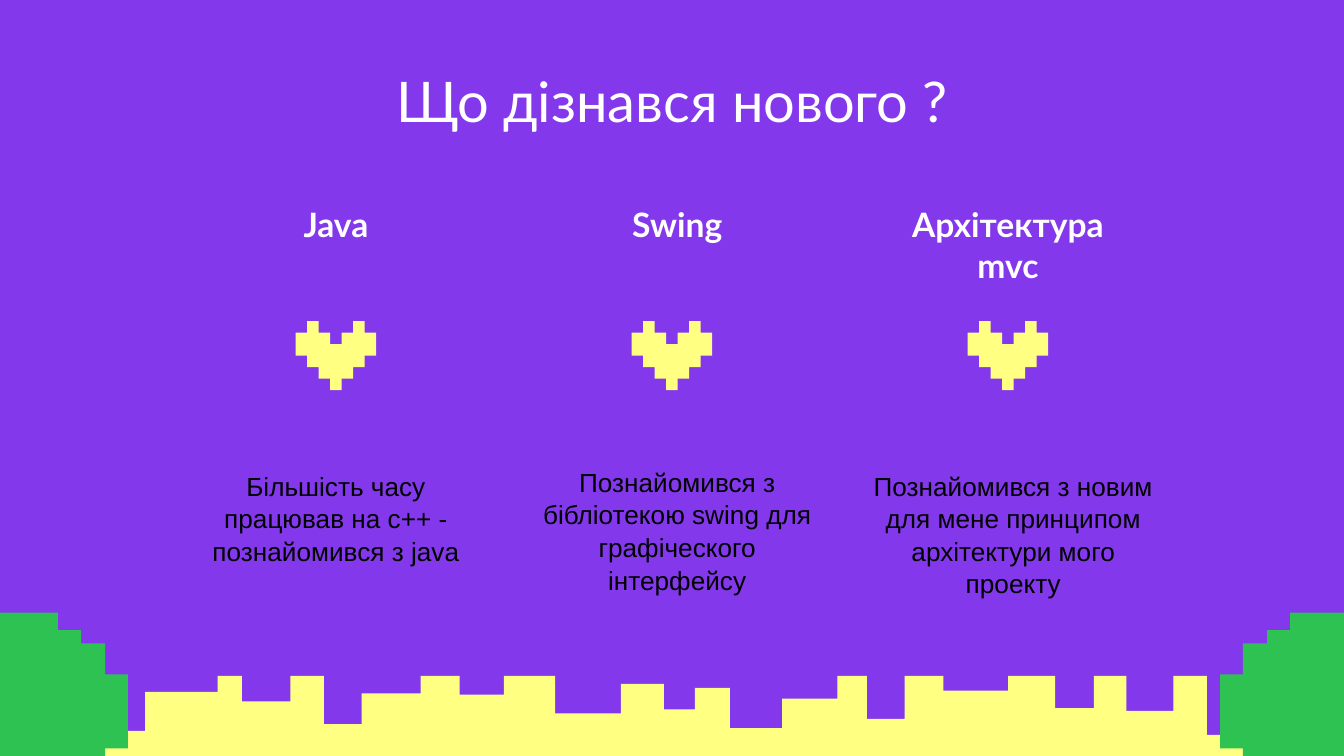
from dataclasses import dataclass

from pptx import Presentation
from pptx import util as u
from pptx.dml.color import RGBColor
from pptx.enum import text

Cm = u.Cm
PURPLE, YELLOW, GREEN, WHITE, BLACK = "8338EC", "FFFF82", "2DC252", "FFFFFF", "000000"
GRID = 0.0254 * 1

TITLE = {"name": "Lato", "size": u.Pt(30), "bold": False}
HEADING = {"name": "Lato", "size": u.Pt(18), "bold": True}
BODY = {"name": "Arial", "size": u.Pt(14), "bold": False}


@dataclass
class Outline:
    start: tuple[int, int]
    steps: list[int]
    unit: float
    color: str


@dataclass
class Topic:
    heading: str
    body: str
    left: float
    body_top: float
    body_width: float
    heart_left: float


GROUND = Outline(
    (45, 503),
    [520, -2, 833, 1007, 503, 1000, 530, 987, 503, 965, 520, 929, 547, 898,
     503, 873, 529, 838, 503, 814, 527, 785, 503, 750, 514, 702, 503, 673,
     535, 645, 503, 623, 520, 582, 542, 543, 512, 517, 528, 494, 509, 462,
     531, 413, 503, 375, 517, 342, 503, 313, 516, 269, 539, 241, 503, 216,
     522, 180, 503, 162, 515, 108, 544, 83, 503],
    2.54 / 100, YELLOW)
BUSH = Outline(
    (52, 0),
    [13, 35, 23, 17, 46, 0, 101, 17, 135, 35, 147, 133, 135, 151, 101, 168,
     46, 151, 23, 133, 13, 116, 0],
    2.54 / 100, GREEN)
HEART = Outline(
    (1, 0),
    [1, 0, 3, 1, 4, 2, 5, 3, 6, 4, 5, 5, 4, 6, 3, 7, 1, 6, 0, 5, 1, 4, 2, 3,
     1, 2, 0],
    1.52 / 7, YELLOW)

TOPICS = [
    Topic("Java", "Більшість часу працював на с++ - познайомився з java",
          3.81, 8.86, 5.08, 5.59),
    Topic("Swing", "Познайомився з бібліотекою swing для графіческого інтерфейсу",
          10.26, 8.79, 5.08, 11.94),
    Topic("Архітектура\nmvc",
          "Познайомився з новим для мене принципом архітектури мого проекту",
          16.51, 8.86, 5.28, 18.29),
]


def rgb(value: str) -> RGBColor:
    return RGBColor.from_string(value)


def draw_outline(slide, outline: Outline, left: float = 0, top: float = 0) -> None:
    x, y = outline.start
    points = []
    for i, value in enumerate(outline.steps):
        x, y = (value, y) if i % 2 else (x, value)
        points.append((x, y))
    builder = slide.shapes.build_freeform(*outline.start, scale=Cm(outline.unit))
    builder.add_line_segments(points, close=True)
    sp = builder.convert_to_shape(Cm(left), Cm(top))
    sp.shadow.inherit = False
    sp.fill.solid()
    sp.fill.fore_color.rgb = rgb(outline.color)
    sp.line.fill.background()


def write(sp, words: str, style: dict, color: str,
          anchor=text.MSO_ANCHOR.TOP, spacing: float = 1.0) -> None:
    tf = sp.text_frame
    frame = {"word_wrap": True, "auto_size": text.MSO_AUTO_SIZE.NONE,
             "vertical_anchor": anchor, "margin_left": 0, "margin_top": 0,
             "margin_right": 0, "margin_bottom": 0}
    for key, value in frame.items():
        setattr(tf, key, value)
    tf.text = words
    for p in tf.paragraphs:
        p.alignment = text.PP_ALIGN.CENTER
        p.line_spacing = spacing
        for r in p.runs:
            for key, value in style.items():
                setattr(r.font, key, value)
            r.font.color.rgb = rgb(color)


def add_topic(slide, topic: Topic) -> None:
    heading = slide.shapes.add_textbox(Cm(topic.left), Cm(3.86), Cm(5.08), Cm(1.27))
    write(heading, topic.heading, HEADING, WHITE)
    body = slide.shapes.add_textbox(
        Cm(topic.left), Cm(topic.body_top), Cm(topic.body_width), Cm(2.54))
    write(body, topic.body, BODY, BLACK, spacing=1.04)
    draw_outline(slide, HEART, topic.heart_left, 6.07)


def main() -> None:
    prs = Presentation()
    prs.slide_width, prs.slide_height = Cm(25.4), Cm(14.29)
    slide = prs.slides.add_slide(prs.slide_layouts[5])
    slide.background.fill.solid()
    slide.background.fill.fore_color.rgb = rgb(PURPLE)

    draw_outline(slide, GROUND)
    for left in (23.06, -1.85):
        draw_outline(slide, BUSH, left, 11.58)

    title = slide.shapes.title
    place = {"left": 1.98, "top": 1.24, "width": 21.44, "height": 1.3}
    for key, value in place.items():
        setattr(title, key, Cm(value))
    write(title, "Що дізнався нового ?", TITLE, WHITE, text.MSO_ANCHOR.MIDDLE)

    for topic in TOPICS:
        add_topic(slide, topic)
    prs.save("out.pptx")


main()
